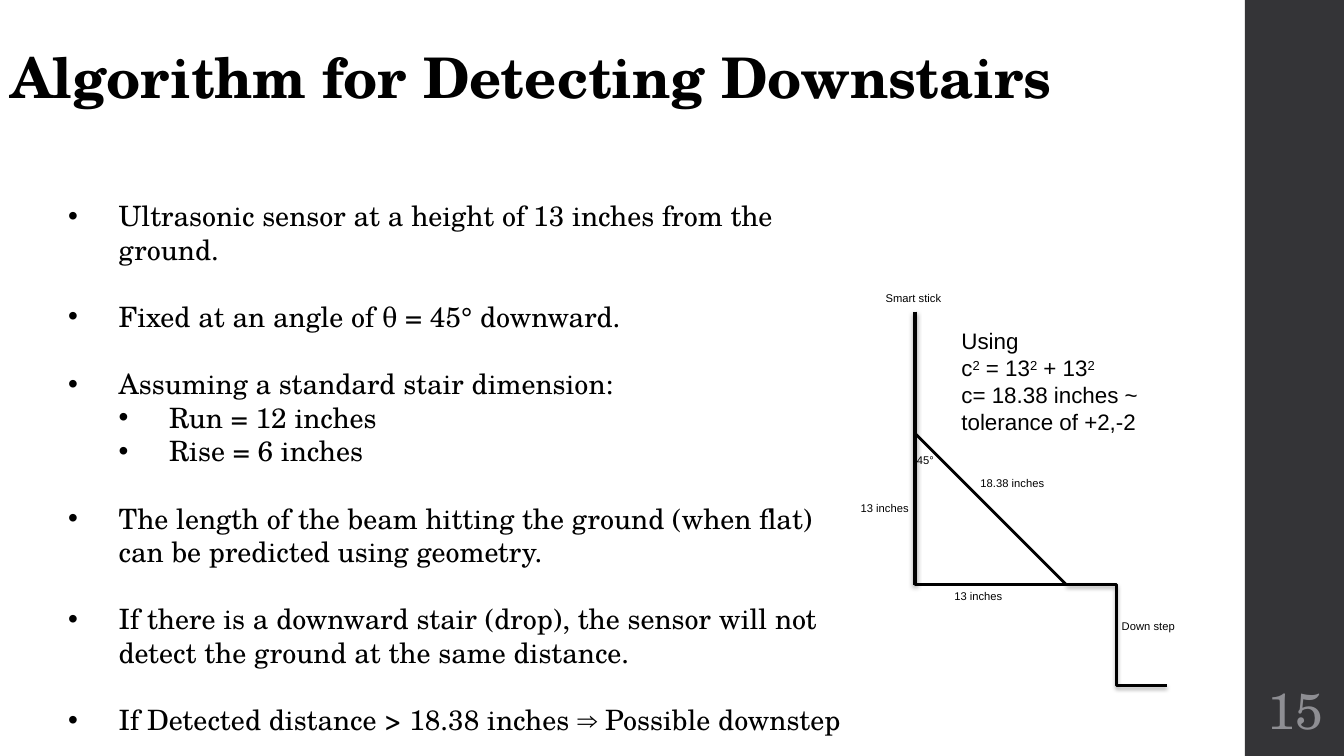
from lxml import etree
from pptx import Presentation
from pptx.dml.color import RGBColor
from pptx.enum.shapes import MSO_CONNECTOR, MSO_SHAPE
from pptx.enum.text import MSO_ANCHOR, MSO_AUTO_SIZE, PP_ALIGN
from pptx.oxml.ns import qn
from pptx.util import Cm, Pt

RECT, TRIANGLE = MSO_SHAPE.RECTANGLE, MSO_SHAPE.RIGHT_TRIANGLE
STRAIGHT, ELBOW = MSO_CONNECTOR.STRAIGHT, MSO_CONNECTOR.ELBOW
MIDDLE, BOTTOM = MSO_ANCHOR.MIDDLE, MSO_ANCHOR.BOTTOM
LEFT, CENTER = PP_ALIGN.LEFT, PP_ALIGN.CENTER
FIXED = MSO_AUTO_SIZE.NONE
SERIF, SANS = "TeX Gyre Schola", "Arial"
COLORS = {"ink": "000000", "paper": "FFFFFF", "bar": "343437", "number": "8E8E93"}


def color(name):
    return RGBColor.from_string(COLORS[name])


def write(para, text, size, font=SANS, ink="ink"):
    run = para.add_run()
    run.text = text
    run.font.size = Pt(size)
    run.font.name = font
    run.font.color.rgb = color(ink)
    return run


deck = Presentation()
deck.slide_width, deck.slide_height = Cm(33.87), Cm(19.05)
slide = deck.slides.add_slide(deck.slide_layouts[5])
shapes = slide.shapes

bar = shapes.add_shape(RECT, Cm(31.37), Cm(0), Cm(2.5), Cm(19.05))
bar.shadow.inherit = False
bar.fill.solid()
bar.fill.fore_color.rgb = color("bar")
bar.line.fill.background()

number = shapes.add_textbox(Cm(31.37), Cm(17.15), Cm(2.54), Cm(1.65)).text_frame
number.margin_left = number.margin_right = Cm(0.13)
number.vertical_anchor = MIDDLE
para = number.paragraphs[0]
para.alignment = CENTER
para.line_spacing = 0.9
write(para, "15", 36, SERIF, "number")

title = shapes.title
title.left, title.top, title.width, title.height = Cm(0), Cm(0.56), Cm(29.77), Cm(2.34)
frame = title.text_frame
frame.auto_size = FIXED
frame.vertical_anchor = BOTTOM
para = frame.paragraphs[0]
para.alignment = LEFT
write(para, "Algorithm for Detecting Downstairs", 40, SERIF).font.bold = True

points = [
    (0, "Ultrasonic sensor at a height of 13 inches from the ground."),
    (0, "Fixed at an angle of θ = 45° downward."),
    (0, "Assuming a standard stair dimension:"),
    (1, "Run = 12 inches"),
    (1, "Rise = 6 inches"),
    (0, "The length of the beam hitting the ground (when flat) can be predicted using geometry."),
    (0, "If there is a downward stair (drop), the sensor will not detect the ground at the same distance."),
    (0, "If Detected distance > 18.38 inches ⇒ Possible downstep"),
]
body = shapes.add_textbox(Cm(1.47), Cm(4.88), Cm(20.19), Cm(13.94)).text_frame
body.word_wrap = True
for i, (level, text) in enumerate(points):
    para = body.paragraphs[0] if i == 0 else body.add_paragraph()
    para.level = level
    para.space_before = Pt(24 if i and level == 0 else 0)
    props = para._p.get_or_add_pPr()
    props.set("marL", str(Cm(1.27) * (level + 1)))
    props.set("indent", str(-Cm(1.27)))
    etree.SubElement(props, qn("a:buFont")).set("typeface", SANS)
    etree.SubElement(props, qn("a:buChar")).set("char", "•")
    write(para, text, 20, SERIF)

side = 3.81
wall, floor = 23.06, 14.73
edge = wall + side
beam = shapes.add_shape(TRIANGLE, Cm(wall), Cm(floor - side), Cm(side), Cm(side))
beam.shadow.inherit = False
beam.fill.solid()
beam.fill.fore_color.rgb = color("paper")
beam.line.color.rgb = color("ink")
beam.line.width = Pt(2)

lines = [
    (STRAIGHT, wall, 7.85, wall, floor, 3),
    (ELBOW, edge, floor, edge + 2.54, floor + 2.54, 2),
]
for kind, x1, y1, x2, y2, width in lines:
    line = shapes.add_connector(kind, Cm(x1), Cm(y1), Cm(x2), Cm(y2))
    line.line.color.rgb = color("ink")
    line.line.width = Pt(width)
    effect = etree.SubElement(line._element.spPr, qn("a:effectLst"))
    shade = etree.SubElement(effect, qn("a:outerShdw"), blurRad="40000",
                             dist="22000", dir="5400000", rotWithShape="0")
    tint = etree.SubElement(shade, qn("a:srgbClr"), val=COLORS["ink"])
    etree.SubElement(tint, qn("a:alpha"), val="35000")

labels = [
    ("Smart stick", 22.07, 7.21, 1.93),
    ("45°", 22.86, 11.3, 0.94),
    ("13 inches", 21.44, 12.52, 1.75),
    ("13 inches", 23.8, 14.73, 1.75),
    ("18.38 inches", 24.46, 11.89, 2.13),
    ("Down step", 28.02, 15.47, 1.85),
]
for text, x, y, width in labels:
    label = shapes.add_textbox(Cm(x), Cm(y), Cm(width), Cm(0.61)).text_frame
    label.word_wrap = False
    write(label.paragraphs[0], text, 8)

note = shapes.add_textbox(Cm(23.98), Cm(8.13), Cm(7.11), Cm(3)).text_frame
note.word_wrap = True
rows = [["Using"], ["c", "2", " = 13", "2", " + 13", "2"],
        ["c= 18.38 inches ~ tolerance of +2,-2"]]
for i, row in enumerate(rows):
    para = note.paragraphs[0] if i == 0 else note.add_paragraph()
    for text in row:
        run = write(para, text, 16)
        if text == "2":
            run.font._element.set("baseline", "30000")

deck.save("out.pptx")
